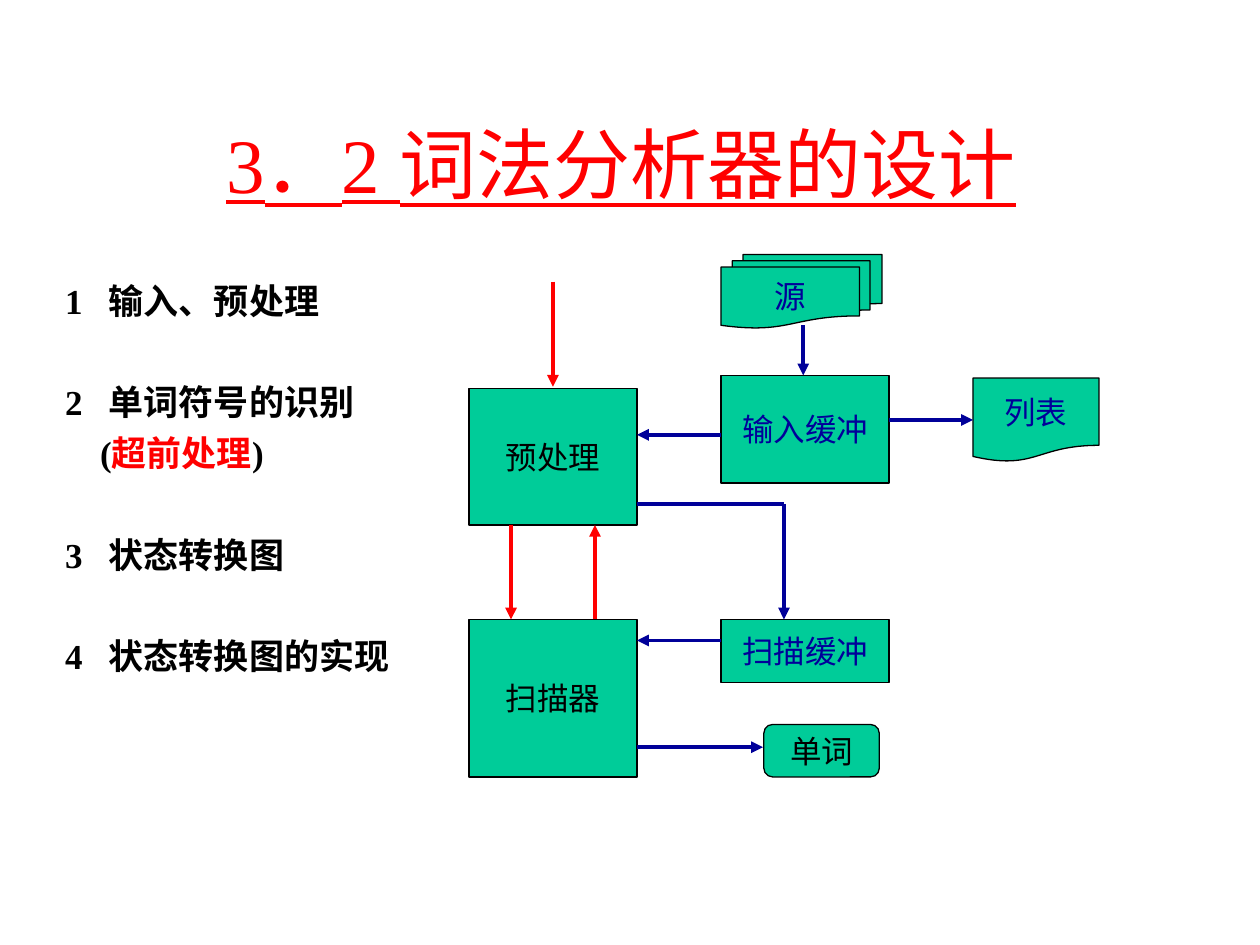
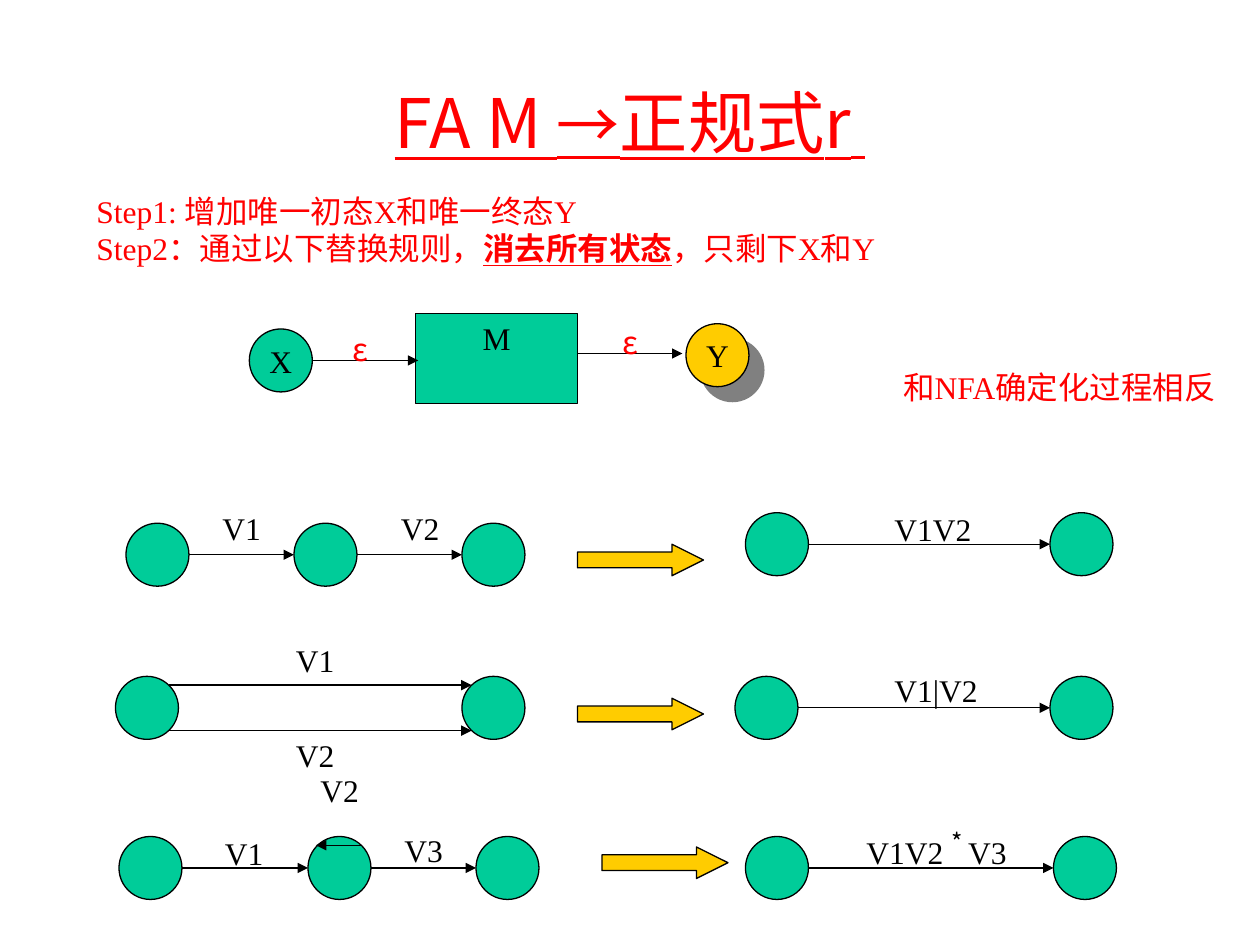
from dataclasses import dataclass

from lxml.etree import SubElement
from pptx import Presentation
from pptx.dml.color import RGBColor
from pptx.enum.lang import MSO_LANGUAGE_ID
from pptx.enum.shapes import MSO_CONNECTOR, MSO_SHAPE
from pptx.enum.text import MSO_ANCHOR, MSO_AUTO_SIZE, PP_ALIGN
from pptx.oxml.ns import qn
from pptx.util import Pt


@dataclass(frozen=True)
class Theme:
    """Colours, fonts, type sizes and line widths of the deck."""
    red: str = "FF0000"
    black: str = "000000"
    navy: str = "000099"
    green: str = "00CC99"
    gold: str = "FFCC00"
    grey: str = "808080"
    serif: str = "Times New Roman"
    sans: str = "Noto Sans CJK SC"
    title: int = 44
    formula_title: int = 39
    symbol: int = 36
    star: int = 24
    item: int = 20
    text: int = 18
    outline: float = 0.75
    flow: float = 2.25


THEME = Theme()
STATE = 36


def add_runs(paragraph, runs, **shared):
    """Add (text, style) runs, each style refining the shared one."""
    for text, own in runs:
        style = {**shared, **own}
        run = paragraph.add_run()
        run.text = text
        font = run.font
        font.name = style.get("font", THEME.serif)
        font.size = Pt(style.get("size", THEME.text))
        font.bold = style.get("bold", False)
        font.underline = style.get("underline", False)
        font.color.rgb = RGBColor.from_string(style.get("color", THEME.black))
        font.language_id = MSO_LANGUAGE_ID.SIMPLIFIED_CHINESE
        if "baseline" in style:
            run._r.get_or_add_rPr().set("baseline", str(style["baseline"]))


def place(shape, left, top, width, height):
    """Move and size a shape in points."""
    shape.left, shape.top = Pt(left), Pt(top)
    shape.width, shape.height = Pt(width), Pt(height)


def add_title(slide, box, runs, **shared):
    """Fill the title placeholder with red underlined runs."""
    title = slide.shapes.title
    place(title, *box)
    frame = title.text_frame
    frame.auto_size = MSO_AUTO_SIZE.NONE
    frame.vertical_anchor = MSO_ANCHOR.MIDDLE
    heading = frame.paragraphs[0]
    heading.alignment = PP_ALIGN.CENTER
    add_runs(heading, runs, color=THEME.red, underline=True, **shared)


def add_outline(slide, box, items):
    """Fill the body placeholder with (indent, hanging, gap, runs) items."""
    body = slide.placeholders[1]
    place(body, *box)
    frame = body.text_frame
    frame.auto_size = MSO_AUTO_SIZE.NONE
    frame.vertical_anchor = MSO_ANCHOR.TOP
    for index, (indent, hanging, gap, runs) in enumerate(items):
        item = frame.add_paragraph() if index else frame.paragraphs[0]
        properties = item._p.get_or_add_pPr()
        properties.set("marL", str(Pt(indent)))
        properties.set("indent", str(-Pt(hanging)))
        SubElement(properties, qn("a:buNone"))
        item.alignment = PP_ALIGN.LEFT
        item.space_before = Pt(gap)
        add_runs(item, runs, size=THEME.item, bold=True)


def add_node(slide, kind, box, text="", color=THEME.black, fill=THEME.green,
             anchor=MSO_ANCHOR.MIDDLE, adjustments=()):
    """Add a filled, outlined preset shape with an optional centred label."""
    node = slide.shapes.add_shape(kind, *map(Pt, box))
    node.shadow.inherit = False
    node.fill.solid()
    node.fill.fore_color.rgb = RGBColor.from_string(fill)
    node.line.color.rgb = RGBColor.from_string(THEME.black)
    node.line.width = Pt(THEME.outline)
    for index, value in enumerate(adjustments):
        node.adjustments[index] = value
    if text:
        frame = node.text_frame
        frame.word_wrap = False
        frame.vertical_anchor = anchor
        frame.paragraphs[0].alignment = PP_ALIGN.CENTER
        add_runs(frame.paragraphs[0], [(text, {})], color=color)
    return node


def add_arrow(slide, start, end, color=THEME.black, width=THEME.outline, head=True):
    """Add a straight connector, with a triangle at its end if wanted."""
    arrow = slide.shapes.add_connector(MSO_CONNECTOR.STRAIGHT, *map(Pt, start + end))
    arrow.line.color.rgb = RGBColor.from_string(color)
    arrow.line.width = Pt(width)
    if head:
        SubElement(arrow.line._get_or_add_ln(), qn("a:tailEnd"), type="triangle")
    SubElement(arrow._element.spPr, qn("a:effectLst"))


def add_label(slide, box, *lines, wrap=True, **shared):
    """Add a text box with one paragraph for each list of runs."""
    frame = slide.shapes.add_textbox(*map(Pt, box)).text_frame
    frame.word_wrap = wrap
    for index, runs in enumerate(lines):
        line = frame.add_paragraph() if index else frame.paragraphs[0]
        add_runs(line, runs, **shared)


def add_hard_shadow(node):
    """Give a shape a solid grey shadow to its lower right."""
    effects = node._element.spPr.find(qn("a:effectLst"))
    shadow = SubElement(effects, qn("a:outerShdw"), dist=str(Pt(12.1)),
                        dir="2700000", algn="ctr", rotWithShape="0")
    SubElement(shadow, qn("a:srgbClr"), val=THEME.grey)


def add_states(slide, lefts, top, linked=True):
    """Add a row of automaton states, linked left to right if wanted."""
    for left in lefts:
        add_node(slide, MSO_SHAPE.OVAL, (left, top, STATE, STATE))
    if linked:
        middle = top + STATE / 2
        for left, following in zip(lefts, lefts[1:]):
            add_arrow(slide, (left + STATE, middle), (following, middle))


def build_design_slide(deck):
    """Build the slide on the design of the lexical analyser."""
    slide = deck.slides.add_slide(deck.slide_layouts[1])
    add_title(slide, (54, 48, 612, 90),
              [("3．2 词法分析器的设计", {}), (" ", {"underline": False})], size=THEME.title)
    add_outline(slide, (30, 156, 642, 366), [
        (25, 25, 0, [("1\t输入、预处理", {})]),
        (25, 25, 34, [("2\t单词符号的识别", {})]),
        (20, 0, 5, [("(", {}), ("超前处理", {"color": THEME.red}), (")", {})]),
        (25, 25, 34, [("3\t状态转换图", {})]),
        (25, 25, 34, [("4\t状态转换图的实现", {})]),
    ])

    process, buffer, width = 268, 412, 96
    process_edge, buffer_edge = process + width, buffer + width
    rectangle = MSO_SHAPE.RECTANGLE
    for kind, box, text, color in (
        (MSO_SHAPE.FLOWCHART_MULTIDOCUMENT, (buffer, 145.5, 92, 42), "源", THEME.navy),
        (MSO_SHAPE.FLOWCHART_DOCUMENT, (556, 216, 72, 48), "列表", THEME.navy),
        (rectangle, (buffer, 214.5, width, 61.5), "输入缓冲", THEME.navy),
        (rectangle, (process, 222, width, 78), "预处理", THEME.black),
        (rectangle, (process, 354, width, 90), "扫描器", THEME.black),
        (rectangle, (buffer, 354, width, 36), "扫描缓冲", THEME.navy),
        (MSO_SHAPE.ROUNDED_RECTANGLE, (436.5, 414, 66, 30), "单词", THEME.black),
    ):
        add_node(slide, kind, box, text, color)

    for start, end, color, head in (
        ((459, 186), (459, 214.5), THEME.navy, True),
        ((buffer_edge, 240), (556, 240), THEME.navy, True),
        ((buffer, 248.5), (process_edge, 248.5), THEME.navy, True),
        ((process_edge, 288), (448, 288), THEME.navy, False),
        ((448, 288), (448, 354), THEME.navy, True),
        ((316, 161), (316, 221), THEME.red, True),
        ((292, 300), (292, 354), THEME.red, True),
        ((340, 354), (340, 300), THEME.red, True),
        ((buffer, 366), (process_edge, 366), THEME.navy, True),
        ((process_edge, 427), (436, 427), THEME.navy, True),
    ):
        add_arrow(slide, start, end, color, THEME.flow, head)


def build_conversion_slide(deck):
    """Build the slide on turning an automaton into a regular expression."""
    slide = deck.slides.add_slide(deck.slide_layouts[5])
    add_title(slide, (54, 48, 612, 42), [
        ("FA M ", {}), ("→", {"size": THEME.symbol}), ("正规式r", {}),
        (" ", {"size": THEME.symbol, "bold": True}),
    ], size=THEME.formula_title, font=THEME.sans)
    add_label(slide, (48, 106, 600, 50),
              [("Step1: 增加唯一初态X和唯一终态Y", {})],
              [("Step2：通过以下替换规则，", {}),
               ("消去所有状态", {"bold": True, "underline": True}),
               ("，只剩下X和Y", {})], color=THEME.red)

    add_node(slide, MSO_SHAPE.RECTANGLE, (237.5, 179, 92.5, 51.5), "M", anchor=MSO_ANCHOR.TOP)
    add_node(slide, MSO_SHAPE.OVAL, (142.5, 188, STATE, STATE), "X")
    final = add_node(slide, MSO_SHAPE.OVAL, (392, 185, STATE, STATE), "Y", fill=THEME.gold)
    add_hard_shadow(final)
    add_arrow(slide, (178.5, 206), (239, 206))
    add_arrow(slide, (330, 202), (390, 202))
    for left, top in ((194.5, 185), (348.5, 181)):
        add_label(slide, (left, top, 23, 29), [("ε", {})], wrap=False,
                  font=THEME.sans, color=THEME.red)
    add_label(slide, (509, 206.5, 203, 29), [("和NFA确定化过程相反", {})],
              wrap=False, color=THEME.red)

    for lefts, top, linked in (
        ((72, 168, 264), 299, True),
        ((426, 600), 293, True),
        ((66, 264), 386.5, False),
        ((420, 600), 386.5, True),
        ((68, 176, 272), 478, True),
        ((426, 602), 478, True),
    ):
        add_states(slide, lefts, top, linked)
    for parallel in (391.5, 417.5):
        add_arrow(slide, (96.5, parallel), (269.5, parallel))
    add_arrow(slide, (206.5, 483), (180.5, 483))
    for left, top in ((330, 311), (330, 399), (344, 484)):
        add_node(slide, MSO_SHAPE.RIGHT_ARROW, (left, top, 72, 18),
                 fill=THEME.gold, adjustments=(0.5, 1))

    for text, left, top, width in (
        ("V1", 120, 287.5, 42), ("V2", 222, 287.5, 42), ("V1V2", 504, 288, 72),
        ("V1", 162, 363, 42), ("V2", 162, 417, 42), ("V1|V2", 504, 380, 96),
        ("V1", 121.5, 473, 42), ("V2", 176, 437, 42), ("V3", 224, 471.5, 42),
    ):
        add_label(slide, (left, top, width, 29), [(text, {})])
    add_label(slide, (488, 466.5, 108, 36), [
        ("V1V2 ", {}),
        ("* ", {"size": THEME.star, "font": THEME.sans, "baseline": 30000}),
        ("V3", {}),
    ])


def main():
    """Build and save the deck."""
    deck = Presentation()
    deck.slide_width, deck.slide_height = Pt(720), Pt(540)
    build_design_slide(deck)
    build_conversion_slide(deck)
    deck.save("out.pptx")


if __name__ == "__main__":
    main()
